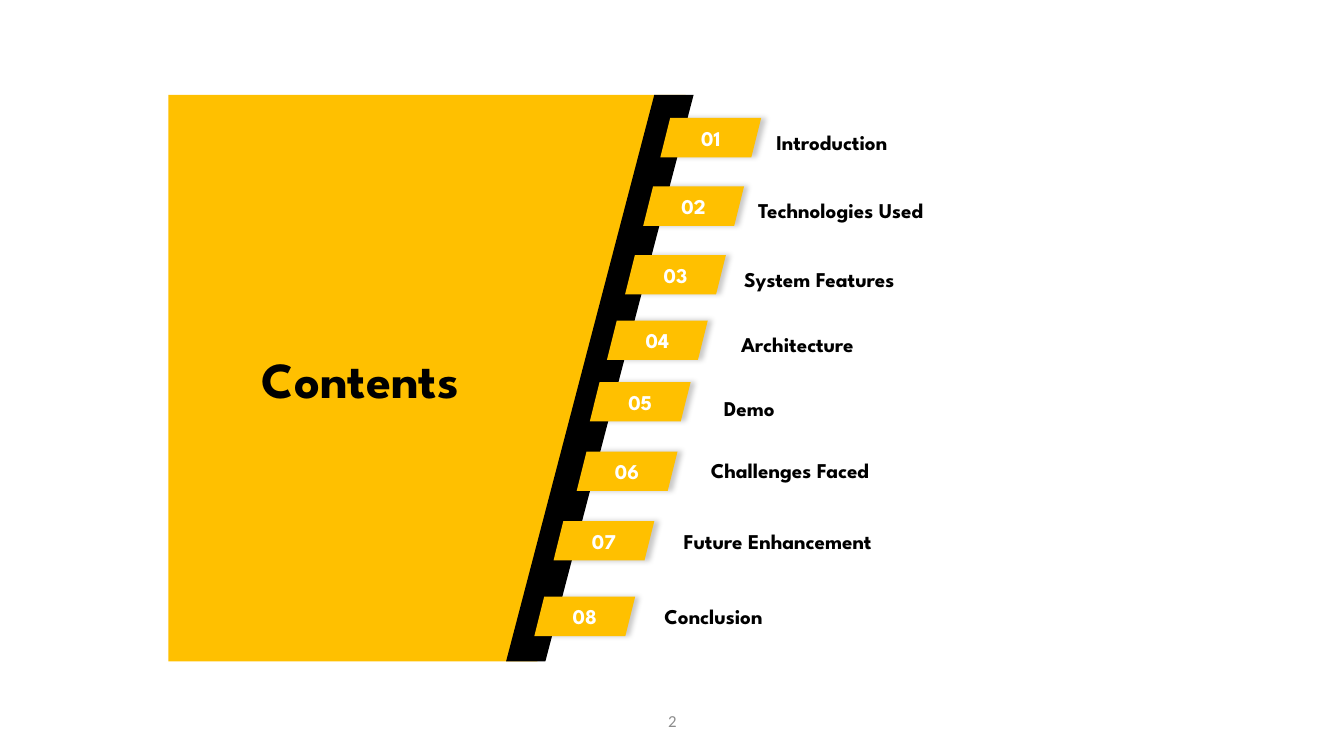
from dataclasses import dataclass

from lxml import etree
from pptx import Presentation
from pptx import util as u
from pptx.dml import color
from pptx.enum import shapes, text
from pptx.oxml import ns
from pptx.shapes.autoshape import Shape
from pptx.slide import Slide

EMU_PER_PX = 9144


@dataclass(frozen=True)
class Theme:
    gold: str = "FFC000"
    black: str = "000000"
    white: str = "FFFFFF"
    grey: str = "8C8C8C"
    heading_font: str = "League Spartan"
    number_font: str = "Calibri"
    title_size: int = 36
    item_size: int = 15
    number_size: int = 12


@dataclass(frozen=True)
class Box:
    left: int
    top: int
    width: int
    height: int


@dataclass(frozen=True)
class Item:
    label: str
    tag_left: int
    tag_top: int
    label_left: int
    label_top: int


THEME = Theme()
TAG_WIDTH, TAG_HEIGHT = 100, 39
LABEL_WIDTH, LABEL_HEIGHT = 400, 25
PANEL = [(167, 94), (680, 94), (533, 656), (167, 656)]
STRIPE = [(649, 94), (688, 94), (541, 656), (502, 656)]
ITEMS = [
    Item("Introduction", 655, 117, 770, 128),
    Item("Technologies Used", 638, 185, 752, 196),
    Item("System Features", 620, 253, 738, 264),
    Item("Architecture", 602, 318, 735, 329),
    Item("Demo", 585, 379, 718, 392),
    Item("Challenges Faced", 572, 448, 705, 454),
    Item("Future Enhancement", 549, 517, 678, 524),
    Item("Conclusion", 530, 592, 659, 599),
]


def px(length: int) -> u.Emu:
    return u.Emu(length * EMU_PER_PX)


def place(shape: Shape, box: Box) -> None:
    shape.left, shape.top = px(box.left), px(box.top)
    shape.width, shape.height = px(box.width), px(box.height)


def paint(shape: Shape, fill: str) -> None:
    shape.fill.solid()
    shape.fill.fore_color.rgb = color.RGBColor.from_string(fill)
    shape.line.fill.background()
    shape.shadow.inherit = False


def write(
    shape: Shape,
    words: str,
    *,
    size: int = THEME.item_size,
    ink: str = THEME.black,
    font: str = THEME.heading_font,
    bold: bool = True,
    align: text.PP_ALIGN = text.PP_ALIGN.LEFT,
    anchor: text.MSO_ANCHOR = text.MSO_ANCHOR.TOP,
    inset: bool = False,
) -> None:
    frame = shape.text_frame
    frame.word_wrap = True
    frame.auto_size = text.MSO_AUTO_SIZE.NONE
    frame.vertical_anchor = anchor
    if not inset:
        frame.margin_left = frame.margin_right = 0
        frame.margin_top = frame.margin_bottom = 0
    para = frame.paragraphs[0]
    para.alignment = align
    span = para.add_run()
    span.text = words
    span.font.name = font
    span.font.size = u.Pt(size)
    span.font.bold = bold
    span.font.color.rgb = color.RGBColor.from_string(ink)


def cast_shadow(shape: Shape) -> None:
    effects = shape.element.spPr.find(ns.qn("a:effectLst"))
    shadow = etree.SubElement(
        effects,
        ns.qn("a:outerShdw"),
        blurRad=str(u.Pt(4)),
        dist=str(u.Pt(3)),
        dir="0",
        algn="l",
        rotWithShape="0",
    )
    tint = etree.SubElement(shadow, ns.qn("a:srgbClr"), val=THEME.black)
    etree.SubElement(tint, ns.qn("a:alpha"), val="21000")


def draw_polygon(page: Slide, points: list[tuple[int, int]], fill: str) -> None:
    builder = page.shapes.build_freeform(*points[0], scale=EMU_PER_PX)
    builder.add_line_segments(points[1:], close=True)
    paint(builder.convert_to_shape(), fill)


def draw_title(page: Slide, words: str) -> None:
    title = page.shapes.title
    place(title, Box(230, 345, 255, 61))
    write(title, words, size=THEME.title_size, align=text.PP_ALIGN.CENTER)
    page.shapes.element.append(title.element)


def add_text_box(page: Slide, box: Box) -> Shape:
    return page.shapes.add_textbox(
        px(box.left), px(box.top), px(box.width), px(box.height)
    )


def draw_item(page: Slide, number: int, item: Item) -> None:
    tag = page.shapes.add_shape(
        shapes.MSO_SHAPE.PARALLELOGRAM,
        px(item.tag_left),
        px(item.tag_top),
        px(TAG_WIDTH),
        px(TAG_HEIGHT),
    )
    paint(tag, THEME.gold)
    cast_shadow(tag)
    write(
        tag,
        f"{number:02d}",
        ink=THEME.white,
        align=text.PP_ALIGN.CENTER,
        anchor=text.MSO_ANCHOR.MIDDLE,
        inset=True,
    )
    label_box = Box(item.label_left, item.label_top, LABEL_WIDTH, LABEL_HEIGHT)
    write(add_text_box(page, label_box), item.label)


def draw_page_number(page: Slide, number: int) -> None:
    write(
        add_text_box(page, Box(442, 695, 450, 40)),
        str(number),
        size=THEME.number_size,
        ink=THEME.grey,
        font=THEME.number_font,
        bold=False,
        align=text.PP_ALIGN.CENTER,
        anchor=text.MSO_ANCHOR.MIDDLE,
        inset=True,
    )


def main() -> None:
    deck = Presentation()
    deck.slide_width, deck.slide_height = px(1333), px(750)
    page = deck.slides.add_slide(deck.slide_layouts.get_by_name("Title Only"))
    draw_polygon(page, PANEL, THEME.gold)
    draw_polygon(page, STRIPE, THEME.black)
    draw_title(page, "Contents")
    for number, item in enumerate(ITEMS, start=1):
        draw_item(page, number, item)
    draw_page_number(page, 2)
    deck.save("out.pptx")


if __name__ == "__main__":
    main()
